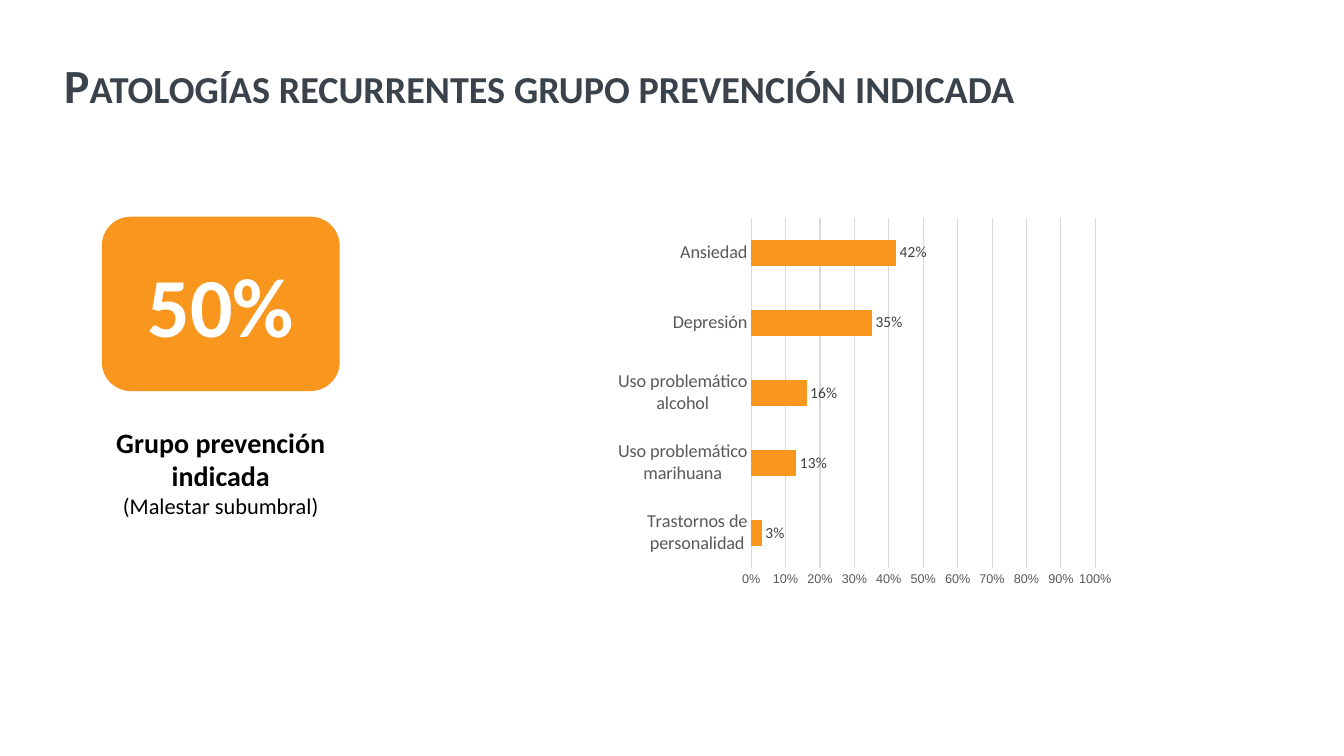
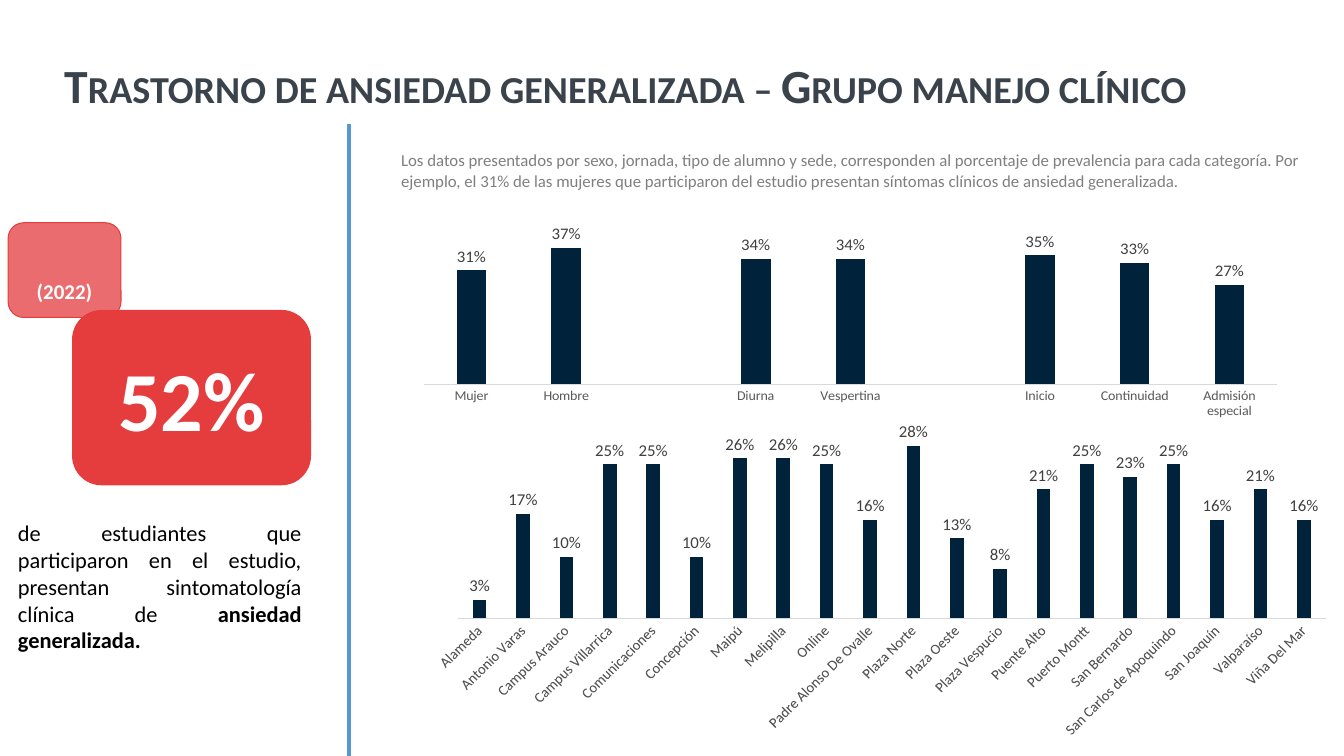
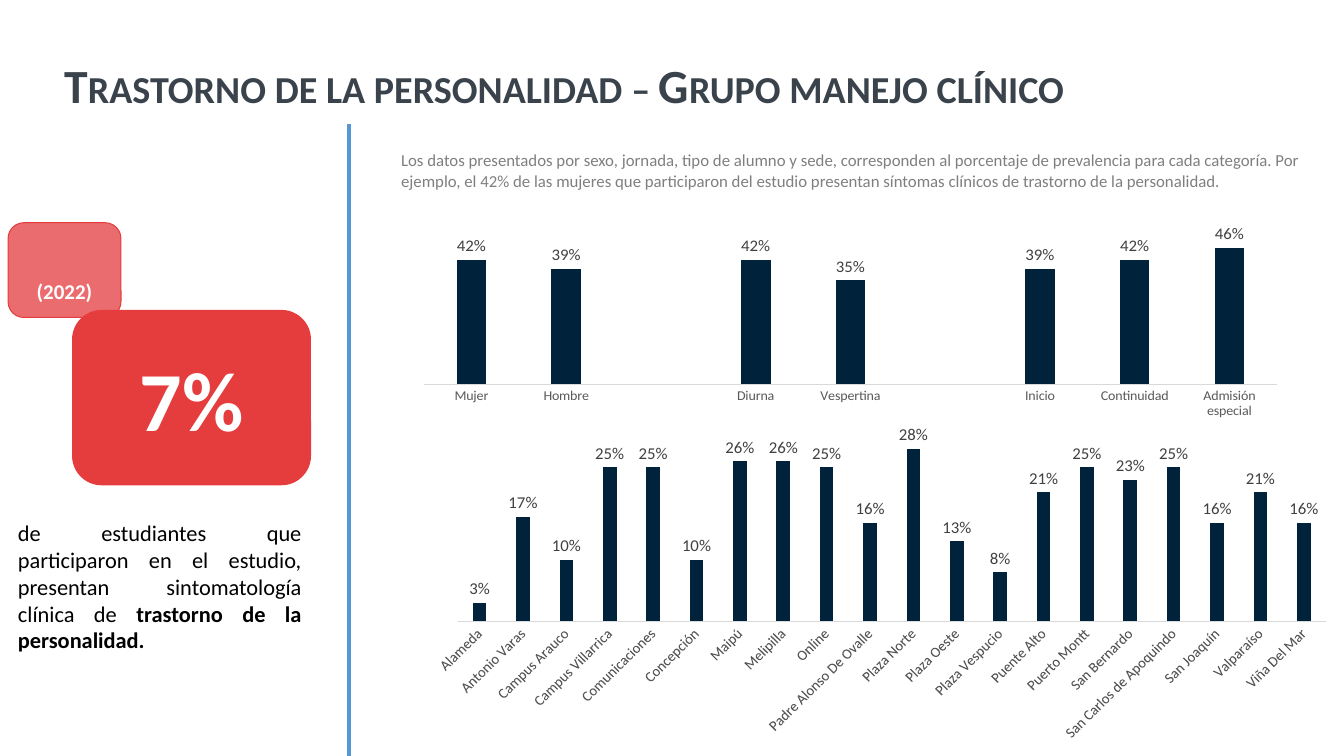
"""Builds three slides on prevalence of mental health conditions among students."""
from lxml import etree
from pptx import Presentation
from pptx.chart.data import CategoryChartData
from pptx.dml.color import RGBColor
from pptx.enum import chart as ch, shapes, text
from pptx.oxml import parse_xml
from pptx.oxml.ns import nsdecls, qn
from pptx.util import Inches, Pt

SLATE = RGBColor(0x3A, 0x43, 0x4C)
ORANGE = RGBColor(0xF8, 0x96, 0x1E)
RED = RGBColor(0xE5, 0x3C, 0x3E)
NAVY = RGBColor(0x00, 0x22, 0x3A)
BLUE = RGBColor(0x56, 0x98, 0xD3)
BLACK = RGBColor(0x00, 0x00, 0x00)
WHITE = RGBColor(0xFF, 0xFF, 0xFF)
GREY = RGBColor(0x7F, 0x7F, 0x7F)
AXIS_GREY = RGBColor(0x59, 0x59, 0x59)
LABEL_GREY = RGBColor(0x40, 0x40, 0x40)
RULE_GREY = RGBColor(0xD9, 0xD9, 0xD9)
FONT = "Calibri"
CENTER, JUSTIFY = text.PP_ALIGN.CENTER, text.PP_ALIGN.JUSTIFY

INDICATED = {
    "title": "Patologías recurrentes grupo prevención indicada",
    "share": "50%",
    "group": "Grupo prevención indicada",
    "detail": "(Malestar subumbral)",
    "conditions": [
        ("Trastornos de personalidad", 0.03),
        ("Uso problemático marihuana", 0.13),
        ("Uso problemático alcohol", 0.16),
        ("Depresión", 0.35),
        ("Ansiedad", 0.42),
    ],
}
PROFILES = ["Mujer", "Hombre", "", "Diurna", "Vespertina", "",
            "Inicio", "Continuidad", "Admisión especial"]
CAMPUSES = [
    ("Alameda", 0.03), ("Antonio Varas", 0.17), ("Campus Arauco", 0.1),
    ("Campus Villarrica", 0.25), ("Comunicaciones", 0.25), ("Concepción", 0.1),
    ("Maipú", 0.26), ("Melipilla", 0.26), ("Online", 0.25),
    ("Padre Alonso De Ovalle", 0.16), ("Plaza Norte", 0.28),
    ("Plaza Oeste", 0.13), ("Plaza Vespucio", 0.08), ("Puente Alto", 0.21),
    ("Puerto Montt", 0.25), ("San Bernardo", 0.23),
    ("San Carlos de Apoquindo", 0.25), ("San Joaquín", 0.16),
    ("Valparaíso", 0.21), ("Viña Del Mar", 0.16),
]
NOTE = ("Los datos presentados por sexo, jornada, tipo de alumno y sede, corresponden al "
        "porcentaje de prevalencia para cada categoría. Por ejemplo, el {} de las mujeres que "
        "participaron del estudio presentan síntomas clínicos de {}.")
FINDING = ("de estudiantes que participaron en el estudio, "
           "presentan sintomatología clínica de ")
CLINICAL = [
    {"title": "Trastorno de ansiedad generalizada – Grupo manejo clínico",
     "condition": "ansiedad generalizada", "share": "52%", "women": "31%",
     "profile": [0.31, 0.37, None, 0.34, 0.34, None, 0.35, 0.33, 0.27],
     "campus_top": 4.19},
    {"title": "Trastorno de la personalidad – Grupo manejo clínico",
     "condition": "trastorno de la personalidad", "share": "7%", "women": "42%",
     "profile": [0.42, 0.39, None, 0.42, 0.35, None, 0.39, 0.42, 0.46],
     "campus_top": 4.22},
]


def box(*lengths):
    return [Inches(n) for n in lengths]


def style_font(font, size, color, bold=None, name=FONT):
    font.name, font.size, font.bold = name, Pt(size), bold
    font.color.rgb = color


def add_run(p, content, size, color, bold=False):
    r = p.add_run()
    r.text = content
    style_font(r.font, size, color, bold)
    return r


def add_text(slide, at, paragraphs, align=None):
    sp = slide.shapes.add_textbox(*box(*at))
    tf = sp.text_frame
    tf.word_wrap = True
    tf.auto_size = text.MSO_AUTO_SIZE.SHAPE_TO_FIT_TEXT
    for i, runs in enumerate(paragraphs):
        p = tf.add_paragraph() if i else tf.paragraphs[0]
        p.alignment = align
        for run in runs:
            add_run(p, *run)
    return tf


def add_titled_slide(prs, title):
    slide = prs.slides.add_slide(prs.slide_layouts[6])
    tf = add_text(slide, (0.54, 0.4, 12.73, 0.94), [[(title, 34, SLATE, True)]])
    tf.auto_size = text.MSO_AUTO_SIZE.NONE
    tf.vertical_anchor = text.MSO_ANCHOR.MIDDLE
    p = tf.paragraphs[0]
    p.line_spacing = 0.9
    p.runs[0].font._element.set("cap", "small")
    return slide


def add_card(slide, at, content, size, color, outlined=True):
    sp = slide.shapes.add_shape(shapes.MSO_SHAPE.ROUNDED_RECTANGLE, *box(*at))
    sp.shadow.inherit = False
    sp.fill.solid()
    sp.fill.fore_color.rgb = color
    if outlined:
        sp.line.color.rgb = color
        sp.line.width = Pt(0.75)
    else:
        sp.line.fill.background()
    tf = sp.text_frame
    tf.vertical_anchor = text.MSO_ANCHOR.MIDDLE
    p = tf.paragraphs[0]
    p.alignment = CENTER
    add_run(p, content, size, WHITE, True)
    return sp


def add_percent_chart(slide, at, kind, cats, vals, color, gap, cat_size, label_size, rotation=0):
    data = CategoryChartData(number_format="0%")
    data.categories = cats
    data.add_series("Series 1", vals)
    chart = slide.shapes.add_chart(kind, *box(*at), data).chart
    chart.has_legend = chart.has_title = False
    style_font(chart.font, 10, BLACK, name="Arial")

    cat, val = chart.category_axis, chart.value_axis
    cat.major_tick_mark = val.major_tick_mark = ch.XL_TICK_MARK.NONE
    style_font(cat.tick_labels.font, cat_size, AXIS_GREY)
    cat._element.find(qn("c:txPr")).find(qn("a:bodyPr")).set("rot", str(rotation * 60000))
    cat.format.line.color.rgb = RULE_GREY
    cat.format.line.width = Pt(0.75)
    val.has_major_gridlines = False
    val.minimum_scale = 0

    plot = chart.plots[0]
    plot.vary_by_categories = False
    plot.gap_width = gap
    plot.has_data_labels = True
    labels = plot.data_labels
    labels.show_value = True
    labels.number_format, labels.number_format_is_linked = "0%", False
    labels.position = ch.XL_LABEL_POSITION.OUTSIDE_END
    style_font(labels.font, label_size, LABEL_GREY)
    fill = plot.series[0].format.fill
    fill.solid()
    fill.fore_color.rgb = color
    return chart


def add_columns(slide, at, cats, vals, cat_size, rotation=0):
    chart = add_percent_chart(slide, at, ch.XL_CHART_TYPE.COLUMN_CLUSTERED, cats, vals,
                              NAVY, 219, cat_size, 12, rotation)
    chart.value_axis.visible = False
    chart.plots[0].overlap = -27


def set_plot_area(chart, x, y, w, h):
    area = chart._chartSpace.chart.plotArea
    for old in area.findall(qn("c:layout")):
        area.remove(old)
    parts = [("layoutTarget", "inner"), ("xMode", "edge"), ("yMode", "edge"),
             ("x", x), ("y", y), ("w", w), ("h", h)]
    inner = "".join(f'<c:{tag} val="{value}"/>' for tag, value in parts)
    area.insert(0, parse_xml(f'<c:layout {nsdecls("c")}><c:manualLayout>{inner}'
                             '</c:manualLayout></c:layout>'))


def build_indicated(prs, d):
    slide = add_titled_slide(prs, d["title"])
    add_card(slide, (1.01, 2.15, 2.36, 1.73), d["share"], 60, ORANGE, outlined=False)
    add_text(slide, (1.01, 4.17, 2.36, 1.04),
             [[(d["group"], 20, BLACK, True)], [(d["detail"], 16, BLACK)]], CENTER)
    cats, vals = zip(*d["conditions"])
    chart = add_percent_chart(slide, (5.8, 1.94, 5.41, 3.93), ch.XL_CHART_TYPE.BAR_CLUSTERED,
                              cats, vals, ORANGE, 182, 13, 11)
    set_plot_area(chart, 0.305, 0.056, 0.631, 0.884)
    bar_line = chart.plots[0].series[0].format.line
    bar_line.color.rgb, bar_line.width = ORANGE, Pt(0.75)
    val = chart.value_axis
    val.maximum_scale, val.major_unit = 1, 0.1
    val.has_major_gridlines = True
    grid = val.major_gridlines.format.line
    grid.color.rgb, grid.width = RULE_GREY, Pt(0.75)
    val.format.line.fill.background()
    val.tick_labels.number_format, val.tick_labels.number_format_is_linked = "0%", False
    style_font(val.tick_labels.font, 9, AXIS_GREY, name="Arial")


def build_clinical(prs, d):
    slide = add_titled_slide(prs, d["title"])
    note = NOTE.format(d["women"], d["condition"])
    add_text(slide, (3.88, 1.44, 9.26, 0.5), [[(note, 12, GREY)]])
    add_columns(slide, (4.03, 2.23, 8.81, 1.96), PROFILES, d["profile"], 10)

    divider = slide.shapes.add_connector(shapes.MSO_CONNECTOR.STRAIGHT,
                                         *box(3.46, 1.23, 3.46, 7.5))
    divider.line.color.rgb, divider.line.width = BLUE, Pt(3)
    etree.SubElement(divider._element.spPr, qn("a:effectLst"))

    add_card(slide, (0.72, 3.08, 2.36, 1.73), d["share"], 60, RED)
    add_text(slide, (0.08, 5.1, 3.01, 1.45),
             [[(FINDING, 16, BLACK), (d["condition"] + ".", 16, BLACK, True)]], JUSTIFY)
    year = add_card(slide, (0.08, 2.21, 1.12, 0.94), "(2022)", 15, RED)
    year.text_frame.margin_top = Inches(0.47)
    color = year._element.spPr.find(qn("a:solidFill")).find(qn("a:srgbClr"))
    etree.SubElement(color, qn("a:alpha")).set("val", "75000")

    cats, vals = zip(*CAMPUSES)
    add_columns(slide, (4.14, d["campus_top"], 9.19, 3.2), cats, vals, 10.5, rotation=-45)


def main():
    prs = Presentation()
    prs.slide_width, prs.slide_height = Inches(13.33), Inches(7.5)
    build_indicated(prs, INDICATED)
    for d in CLINICAL:
        build_clinical(prs, d)
    prs.save("out.pptx")


if __name__ == "__main__":
    main()
